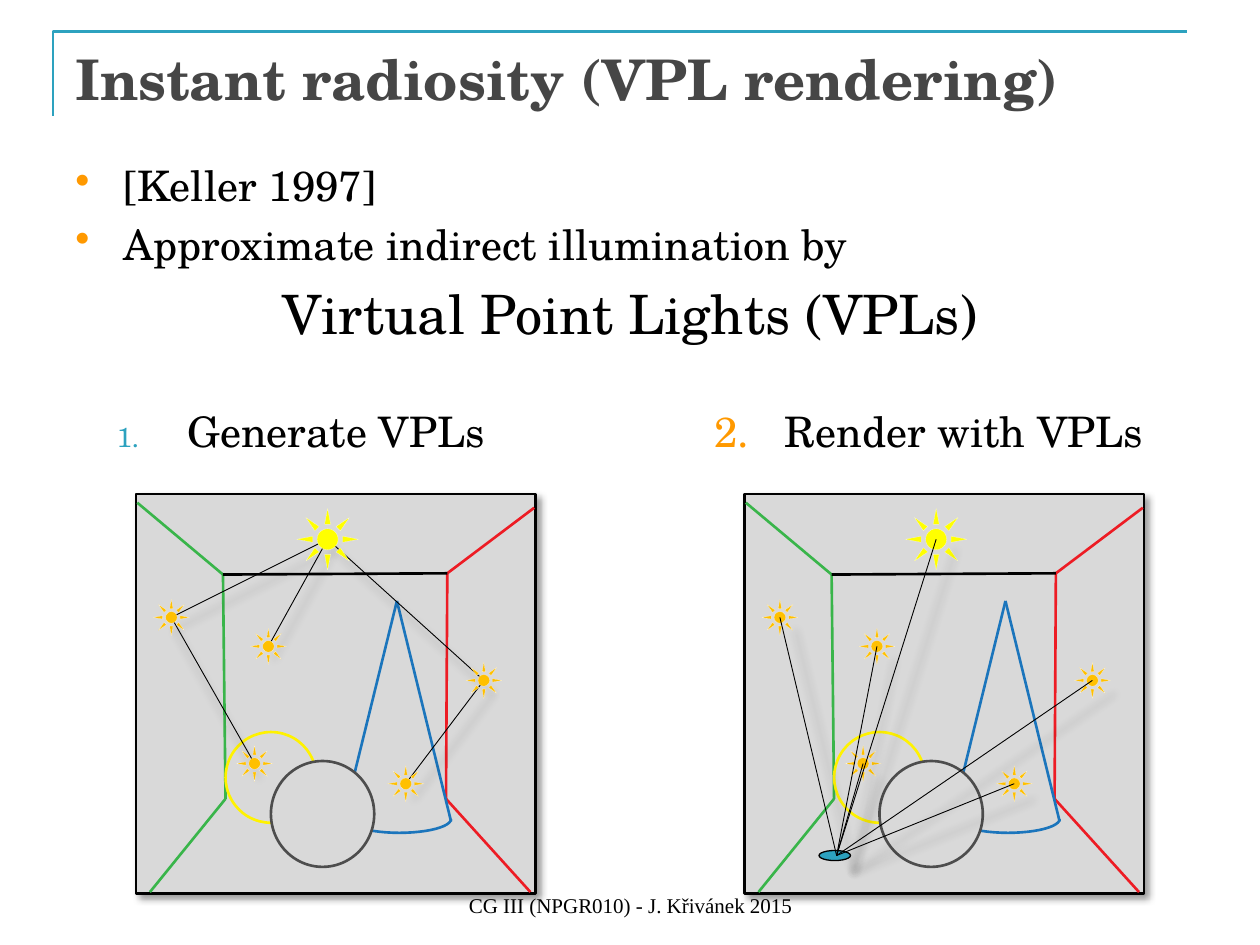
from math import cos, pi, sin

from lxml.etree import SubElement
from pptx import Presentation
from pptx.dml.color import RGBColor
from pptx.enum.shapes import MSO_CONNECTOR, MSO_SHAPE
from pptx.enum.text import MSO_ANCHOR, PP_ALIGN
from pptx.oxml.ns import qn
from pptx.util import Cm, Pt

SERIF = "TeX Gyre Schola"
TEAL, AMBER, GRAY = "2DA2BF", "FF9900", "D9D9D9"
GREEN, RED, BLUE = "39B54A", "ED1C24", "1B75BC"
STEP = 4.83
LAMP = (2.6, 4.28)
VPLS = [(1.36, 4.9), (2.13, 5.13), (3.22, 6.22), (3.84, 5.4), (2.02, 6.06)]
GLOW = {"blurRad": 63500, "sx": 102000, "sy": 102000, "algn": "ctr"}
DROP = {"blurRad": 50800, "dist": 38100, "dir": 2700000, "algn": "tl"}


def cm(inch):
    """Turn inches into a Cm length."""
    return Cm(inch * 2.54)


def rgb(code):
    """Turn a hex string into a colour."""
    return RGBColor.from_string(code)


def node(parent, tag, **attrs):
    """Add a DrawingML child element."""
    return SubElement(parent, qn(f"a:{tag}"), {k: str(v) for k, v in attrs.items()})


def shade(item, shadow=None):
    """Replace the theme shadow with the given one, or none."""
    effects = node(item._element.spPr, "effectLst")
    if shadow:
        outer = node(effects, "outerShdw", rotWithShape=0, **shadow)
        node(node(outer, "srgbClr", val="000000"), "alpha", val=40000)


def paint(item, fill, line, width):
    """Set the fill and outline of a shape."""
    if fill:
        item.fill.solid()
        item.fill.fore_color.rgb = rgb(fill)
    else:
        item.fill.background()
    item.line.color.rgb = rgb(line)
    item.line.width = Pt(width)


def shape(shapes, kind, box, fill, line, width=1.5, shadow=None):
    """Add a preset shape."""
    item = shapes.add_shape(kind, *map(cm, box))
    paint(item, fill, line, width)
    shade(item, shadow)
    return item


def path(shapes, points, line):
    """Add an open outline through the points."""
    spots = [(cm(x), cm(y)) for x, y in points]
    pen = shapes.build_freeform(*spots[0])
    pen.add_line_segments(spots[1:], close=False)
    item = pen.convert_to_shape()
    paint(item, None, line, 1.5)
    shade(item)


def link(shapes, start, end, line="000000", width=0.5, shadow=GLOW, dx=0):
    """Add a straight line, moved right by dx."""
    ends = (start[0] + dx, start[1], end[0] + dx, end[1])
    item = shapes.add_connector(MSO_CONNECTOR.STRAIGHT, *map(cm, ends))
    item.line.color.rgb = rgb(line)
    item.line.width = Pt(width)
    shade(item, shadow)


def frame(slide, box, anchor=MSO_ANCHOR.TOP):
    """Add an empty wrapping text frame."""
    area = slide.shapes.add_textbox(*map(cm, box)).text_frame
    area.word_wrap = True
    area.vertical_anchor = anchor
    return area


def write(area, text, size=24, color="000000", font=SERIF, bold=False,
          align=PP_ALIGN.LEFT, indent=0, bullet=None, hue=AMBER, scale=100, start=None):
    """Write one formatted paragraph into a text frame."""
    para = area.paragraphs[0]
    if para.runs:
        para = area.add_paragraph()
        para.space_before = Pt(size * 0.2)
    para.alignment = align
    props = para._p.get_or_add_pPr()
    if indent:
        props.set("marL", str(cm(indent)))
        props.set("indent", str(-cm(indent)))
    if bullet or start:
        node(node(props, "buClr"), "srgbClr", val=hue)
        node(props, "buSzPct", val=scale * 1000)
    if bullet:
        node(props, "buChar", char=bullet)
    elif start:
        node(props, "buAutoNum", type="arabicPeriod", startAt=start)
    run = para.add_run()
    run.text = text
    run.font.size = Pt(size)
    run.font.name = font
    run.font.bold = bold
    run.font.color.rgb = rgb(color)


def room(slide, dx, ball):
    """Draw the box scene with its walls, cone and two spheres."""
    shapes = slide.shapes.add_group_shape().shapes
    shape(shapes, MSO_SHAPE.RECTANGLE, (1.08 + dx, 3.92, 3.17, 3.17), GRAY, "000000", shadow=DROP)
    left, right = (1.77, 4.56), (3.55, 4.55)
    base, foot = (1.79, 6.34), (3.54, 6.34)
    walls = [((1.19, 7.08), base, GREEN), ((4.21, 7.08), foot, RED), (foot, right, RED),
             (right, (4.24, 4.03), RED), (base, left, GREEN), (left, (1.09, 3.99), GREEN),
             (left, right, "000000"), ((3.15, 4.77), (3.58, 6.52), BLUE)]
    for start, end, line in walls:
        link(shapes, start, end, line, 1.5, None, dx)
    shape(shapes, MSO_SHAPE.OVAL, (1.79 + dx, 5.81, 0.72, 0.72), ball, "FFF200")
    link(shapes, (3.15, 4.77), (2.72, 6.52), BLUE, 1.5, None, dx)
    turns = [pi * i / 24 for i in range(25)]
    path(shapes, [(3.17 + dx - 0.41 * cos(t), 6.5 + 0.11 * sin(t)) for t in turns], BLUE)
    shape(shapes, MSO_SHAPE.OVAL, (2.15 + dx, 6.04, 0.82, 0.84), GRAY, "4D4D4D")


def sun(shapes, spot, size, fill, core):
    """Draw a light centred on a spot."""
    box = (spot[0] - size / 2, spot[1] - size / 2, size, size)
    item = shape(shapes, MSO_SHAPE.SUN, box, fill, "FFFFFF", 0.05)
    item.adjustments[0] = core


def lights(slide, dx):
    """Draw the lamp and the virtual point lights."""
    sun(slide.shapes, (LAMP[0] + dx, LAMP[1]), 0.49, "FFFF00", 0.33)
    for x, y in VPLS:
        sun(slide.shapes, (x + dx, y), 0.29, "FFC000", 0.34)


def words(slide):
    """Write all the text."""
    write(frame(slide, (0.5, 0.3, 9, 1.25)), "Instant radiosity (VPL rendering)",
          size=32, color="464646", bold=True)
    body = frame(slide, (0.5, 1.22, 9, 2.03))
    for text in ("[Keller 1997]", "Approximate indirect illumination by"):
        write(body, text, indent=0.38, bullet="•")
    write(body, "Virtual Point Lights (VPLs)", size=31, align=PP_ALIGN.CENTER, indent=0.38)
    write(frame(slide, (0.83, 3.17, 3.75, 1.08)), "Generate VPLs",
          indent=0.56, start=1, hue=TEAL, scale=65)
    write(frame(slide, (5.57, 3.17, 4.31, 1.08)), "Render with VPLs", indent=0.56, start=2)


def main():
    """Build and save the slide."""
    deck = Presentation()
    deck.slide_width, deck.slide_height = cm(10), cm(7.5)
    slide = deck.slides.add_slide(deck.slide_layouts[6])
    shapes = slide.shapes
    path(shapes, [(0.42, 0.92), (0.42, 0.25), (9.42, 0.25)], TEAL)
    words(slide)

    room(slide, 0, GRAY)
    one, two, three, four, five = VPLS
    for start, end in ((LAMP, four), (four, three), (LAMP, two), (LAMP, one), (one, five)):
        link(shapes, start, end)
    lights(slide, 0)

    room(slide, STEP, None)
    lights(slide, STEP)
    shape(shapes, MSO_SHAPE.OVAL, (6.5, 6.75, 0.25, 0.08), TEAL, "000000", 0.75)
    for spot in (LAMP, five, two, one, four, three):
        link(shapes, spot, (6.64 - STEP, 6.79), dx=STEP)

    write(frame(slide, (3.42, 6.83, 3.17, 0.5), MSO_ANCHOR.BOTTOM),
          "CG III (NPGR010) - J. Křivánek 2015",
          size=12, font="Times New Roman", align=PP_ALIGN.CENTER)
    deck.save("out.pptx")


if __name__ == "__main__":
    main()
